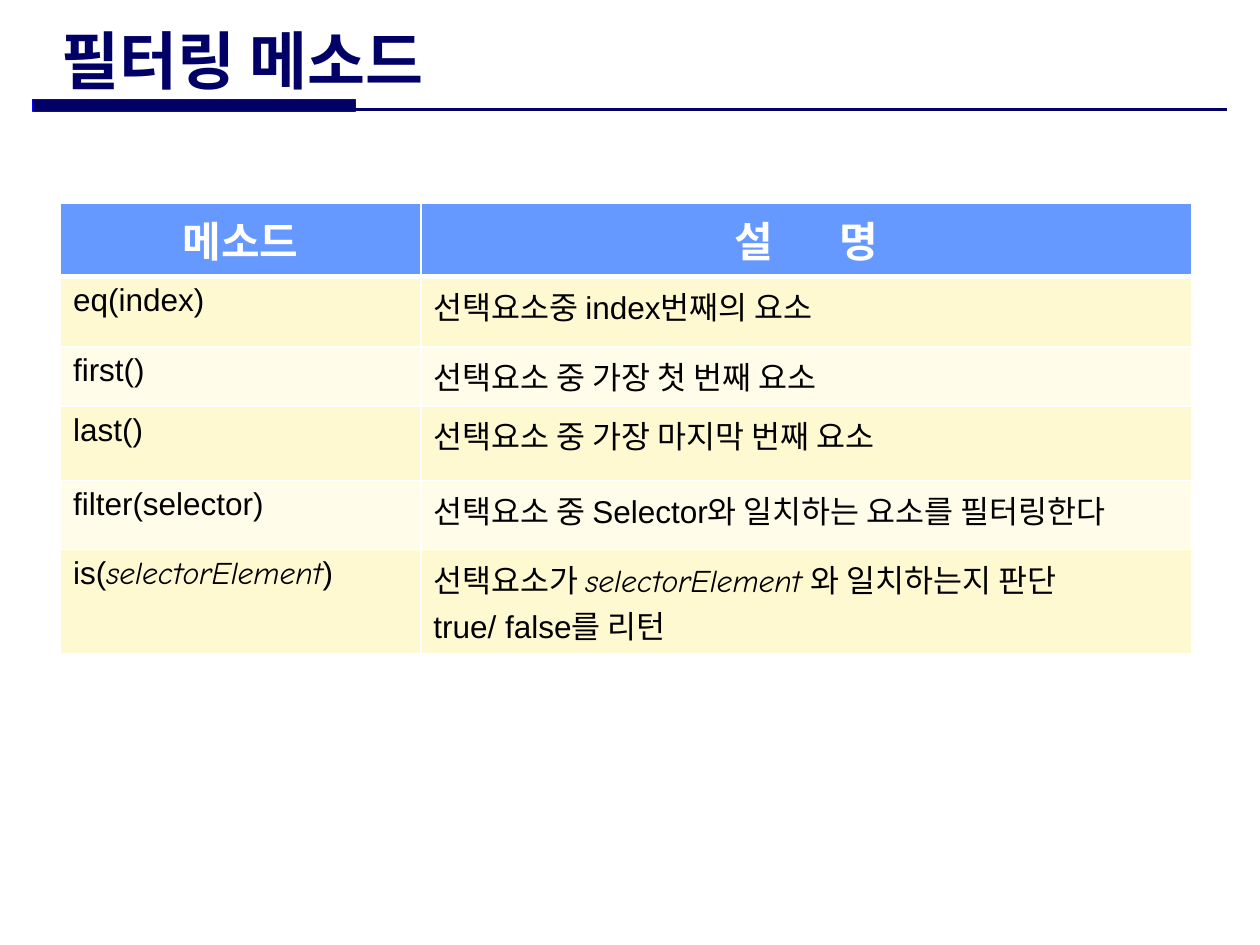
import pptx
import pptx.util
import pptx.dml.color
import pptx.enum.shapes
import pptx.enum.text
import pptx.oxml
import pptx.oxml.ns

Inches = pptx.util.Inches
Pt = pptx.util.Pt
ALIGN = pptx.enum.text.PP_ALIGN
COLORS = {
    "navy": "000066", "blue": "0000FF", "header": "6699FF",
    "odd": "FFF9D2", "even": "FFFCEA", "white": "FFFFFF", "black": "000000",
}
BODY_FONT = "Arial"
ACCENT_FONT = "Comic Neue"
ELEMENT = ("selectorElement", True)
METHODS = [
    ([["eq(index)"]], [["선택요소중 index번째의 요소"]]),
    ([["first()"]], [["선택요소 중 가장 첫 번째 요소"]]),
    ([["last()"]], [["선택요소 중 가장 마지막 번째 요소"]]),
    ([["filter(selector)"]], [["선택요소 중 Selector와 일치하는 요소를 필터링한다"]]),
    ([["is(", ELEMENT, ")"]],
     [["선택요소가 ", ELEMENT, " 와 일치하는지 판단"], ["true/ false를 리턴"]]),
]
COLUMN_WIDTHS = [2.86, 6.12]
ROW_HEIGHTS = [0.47, 0.56, 0.47, 0.59, 0.55, 0.74]


def rgb(name):
    return pptx.dml.color.RGBColor.from_string(COLORS[name])


def add_run(paragraph, text, size, color, font=BODY_FONT, bold=False, italic=False):
    run = paragraph.add_run()
    run.text = text
    run.font.name = font
    run.font.size = Pt(size)
    run.font.bold = bold
    run.font.italic = italic
    run.font.color.rgb = rgb(color)
    return run


def place_title(slide, left, top, width, height):
    title = slide.shapes.title
    title.left, title.top = Inches(left), Inches(top)
    title.width, title.height = Inches(width), Inches(height)
    frame = title.text_frame
    frame.word_wrap = True
    frame.auto_size = pptx.enum.text.MSO_AUTO_SIZE.NONE
    frame.vertical_anchor = pptx.enum.text.MSO_ANCHOR.MIDDLE
    heading = frame.paragraphs[0]
    heading.alignment = ALIGN.LEFT
    add_run(heading, "필터링 메소드", 36, "navy", ACCENT_FONT, bold=True)


def place_underline(slide, left, top, width, height):
    bar = slide.shapes.add_shape(
        pptx.enum.shapes.MSO_SHAPE.RECTANGLE,
        Inches(left), Inches(top), Inches(2.56), Inches(height))
    bar.shadow.inherit = False
    bar.fill.solid()
    bar.fill.fore_color.rgb = rgb("navy")
    bar.line.color.rgb = rgb("blue")
    bar.line.width = Pt(0.75)

    rule_y = Inches(top + height - 0.01)
    rule = slide.shapes.add_connector(
        pptx.enum.shapes.MSO_CONNECTOR.STRAIGHT,
        Inches(left), rule_y, Inches(left + width), rule_y)
    rule.line.color.rgb = rgb("navy")
    rule.line.width = Pt(1.5)
    rule._element.spPr.append(pptx.oxml.parse_xml(
        f'<a:effectLst {pptx.oxml.ns.nsdecls("a")}/>'))


def style_cell(cell, fill, top_border, bottom_border):
    cell.fill.solid()
    cell.fill.fore_color.rgb = rgb(fill)
    properties = cell._tc.get_or_add_tcPr()
    borders = {"lnL": 1, "lnR": 1, "lnT": top_border, "lnB": bottom_border}
    for position, (side, width) in enumerate(borders.items()):
        properties.insert(position, pptx.oxml.parse_xml(
            f'<a:{side} {pptx.oxml.ns.nsdecls("a")} w="{Pt(width)}"><a:solidFill>'
            f'<a:srgbClr val="{COLORS["white"]}"/></a:solidFill></a:{side}>'))


def fill_header(header_cells):
    for cell, words in zip(header_cells, (["메소드"], ["설", " ", "명"])):
        style_cell(cell, "header", 1, 3)
        label = cell.text_frame.paragraphs[0]
        label.alignment = ALIGN.CENTER
        for word in words:
            run = add_run(label, word, 24, "white", bold=True)
            if word == " ":
                run._r.get_or_add_rPr().set("spc", "3300")


def fill_body_cell(cell, lines):
    for number, line in enumerate(lines):
        frame = cell.text_frame
        paragraph = frame.add_paragraph() if number else frame.paragraphs[0]
        for part in line:
            text, accent = part if isinstance(part, tuple) else (part, False)
            add_run(paragraph, text, 18, "black",
                    ACCENT_FONT if accent else BODY_FONT, italic=accent)


def place_methods(slide, left, top, width, height):
    methods = slide.shapes.add_table(
        len(ROW_HEIGHTS), len(COLUMN_WIDTHS),
        Inches(left), Inches(top), Inches(width), Inches(height)).table
    for column, column_width in zip(methods.columns, COLUMN_WIDTHS):
        column.width = Inches(column_width)
    for row, row_height in zip(methods.rows, ROW_HEIGHTS):
        row.height = Inches(row_height)

    fill_header(methods.rows[0].cells)
    for number, method in enumerate(METHODS, 1):
        for cell, lines in zip(methods.rows[number].cells, method):
            style_cell(cell, "odd" if number % 2 else "even", 3 if number == 1 else 1, 1)
            fill_body_cell(cell, lines)


def main():
    deck = pptx.Presentation()
    deck.slide_width, deck.slide_height = Inches(10), Inches(7.5)
    slide = deck.slides.add_slide(deck.slide_layouts[5])
    slide.background.fill.solid()
    slide.background.fill.fore_color.rgb = rgb("white")
    place_underline(slide, 0.26, 0.79, 9.48, 0.09)
    place_title(slide, 0.39, 0.21, 6.79, 0.52)
    place_methods(slide, 0.48, 1.61, sum(COLUMN_WIDTHS), sum(ROW_HEIGHTS))
    deck.save("out.pptx")


if __name__ == "__main__":
    main()
